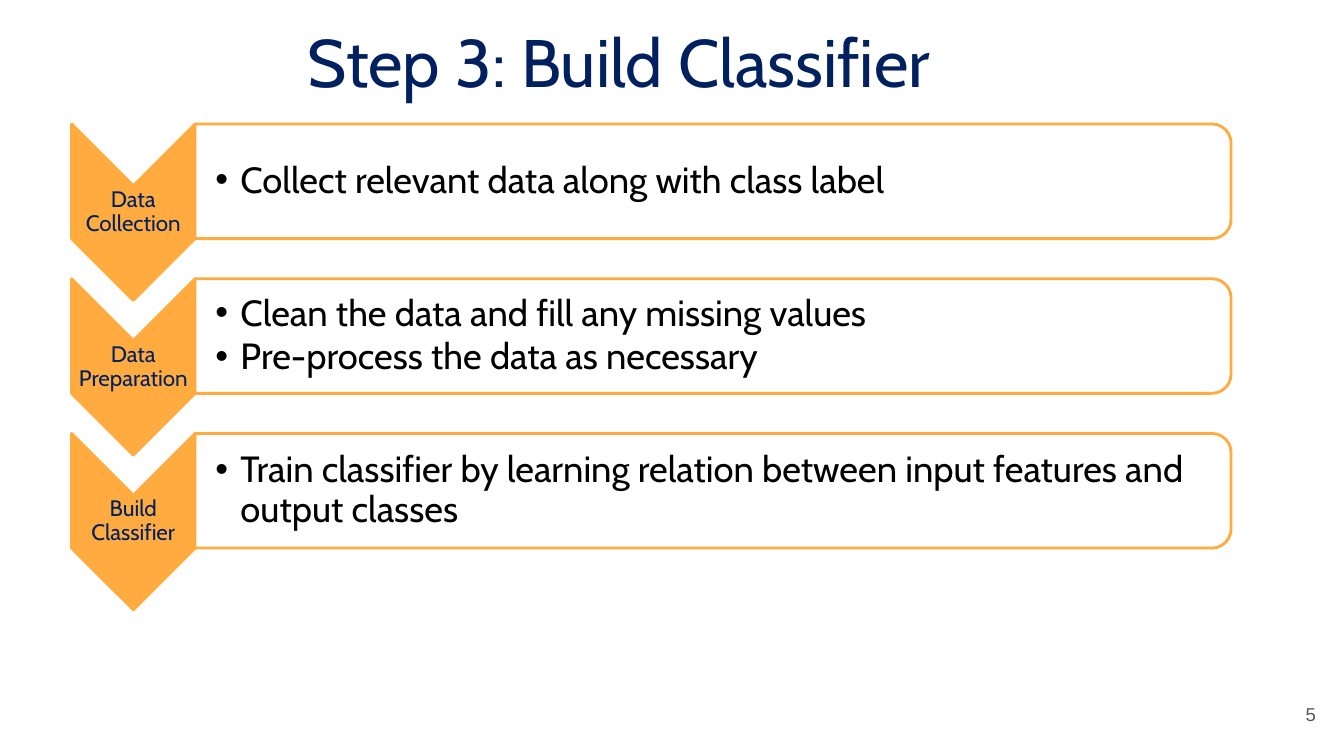
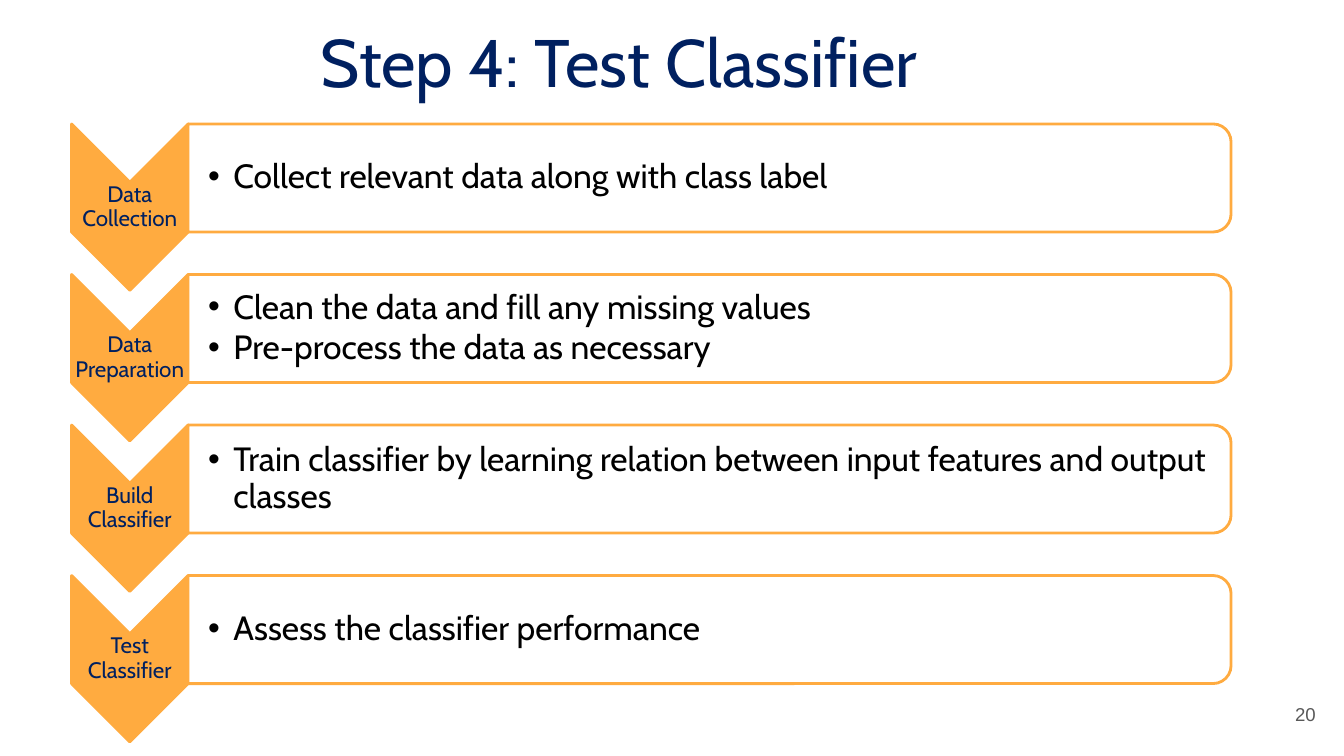
from dataclasses import dataclass

from lxml.etree import SubElement
from pptx import Presentation
from pptx.dml.color import RGBColor as Color
from pptx.enum.shapes import MSO_SHAPE as Preset
from pptx.enum.text import MSO_ANCHOR as Anchor, MSO_AUTO_SIZE as AutoSize, PP_ALIGN as Align
from pptx.oxml.ns import qn
from pptx.util import Pt

EMU_PER_PX = 9144


@dataclass(frozen=True)
class Theme:
    font: str = "Cabin"
    number_font: str = "Arial"
    navy: Color = Color(0x00, 0x20, 0x60)
    orange: Color = Color(0xFF, 0xAB, 0x40)
    white: Color = Color(0xFF, 0xFF, 0xFF)
    black: Color = Color(0x00, 0x00, 0x00)
    gray: Color = Color(0x59, 0x59, 0x59)
    title_size: float = 48
    label_size: float = 16
    number_size: float = 13.3
    outline: float = 2
    panel_opacity: int = 90


THEME = Theme()

STEPS = [
    ("Data Collection", ["Collect relevant data along with class label"]),
    ("Data Preparation", ["Clean the data and fill any missing values",
                          "Pre-process the data as necessary"]),
    ("Build Classifier", ["Train classifier by learning relation between input features and output classes"]),
    ("Test Classifier", ["Assess the classifier performance"]),
]


def px(length):
    return round(length * EMU_PER_PX)


def place(shape, box):
    shape.left, shape.top, shape.width, shape.height = map(px, box)


def prepare_frame(shape, anchor, insets):
    frame = shape.text_frame
    frame.word_wrap = True
    frame.auto_size = AutoSize.NONE
    frame.vertical_anchor = anchor
    frame.margin_left, frame.margin_top, frame.margin_right, frame.margin_bottom = map(px, insets)
    return frame


def style(paragraph, align, size, color, name=THEME.font):
    paragraph.alignment = align
    paragraph.space_before = Pt(0)
    font = paragraph.font
    font.name, font.size, font.bold = name, Pt(size), False
    font.color.rgb = color


def add_bullet(paragraph):
    properties = paragraph._p.get_or_add_pPr()
    properties.set("marL", str(px(25)))
    properties.set("indent", str(px(-25)))
    SubElement(properties, qn("a:buFont"), typeface="Arial")
    SubElement(properties, qn("a:buChar"), char="•")


def add_rotated(slide, preset, box, fill):
    left, top, width, height = box
    center_x, center_y = left + width / 2, top + height / 2
    shape = slide.shapes.add_shape(
        preset, px(center_x - height / 2), px(center_y - width / 2), px(height), px(width))
    shape.rotation = 90
    shape.shadow.inherit = False
    shape.fill.solid()
    shape.fill.fore_color.rgb = fill
    shape.line.color.rgb = THEME.orange
    shape.line.width = Pt(THEME.outline)
    return shape


def add_label(slide, box, text):
    left, top, width, height = box
    add_rotated(slide, Preset.CHEVRON, box, THEME.orange)
    label = slide.shapes.add_textbox(*map(px, (left, top + width / 2, width, height - width)))
    frame = prepare_frame(label, Anchor.MIDDLE, (1, 1, 1, 1))
    paragraph = frame.paragraphs[0]
    paragraph.text = text
    paragraph.line_spacing = 0.9
    style(paragraph, Align.CENTER, THEME.label_size, THEME.navy)


def add_panel(slide, box, body, lines, size):
    left, top, width, height = box
    panel = add_rotated(slide, Preset.ROUND_2_SAME_RECTANGLE, box, THEME.white)
    color = panel.element.spPr.find(qn("a:solidFill"))[0]
    SubElement(color, qn("a:alpha"), val=str(THEME.panel_opacity * 1000))
    slide.shapes.element.append(body.element)
    place(body, (left, top + 5, width - 5, height - 10))
    frame = prepare_frame(body, Anchor.MIDDLE, (20, 2, 2, 2))
    frame.text = "\n".join(lines)
    for paragraph in frame.paragraphs:
        add_bullet(paragraph)
        paragraph.line_spacing = 0.9
        paragraph.space_after = Pt(3)
        style(paragraph, Align.LEFT, size, THEME.black)


def add_process(slide, box, steps, chevron_height, size):
    left, top, width, height = box
    chevron_width = 0.7 * chevron_height
    panel_height = 0.65 * chevron_height
    pitch = (height - chevron_height) / (len(steps) - 1)
    bodies = list(slide.placeholders)[1:]
    for index, ((label, lines), body) in enumerate(zip(steps, bodies)):
        step_top = top + index * pitch
        add_label(slide, (left, step_top, chevron_width, chevron_height), label)
        panel_box = (left + chevron_width, step_top, width - chevron_width, panel_height)
        add_panel(slide, panel_box, body, lines, size)
    for body in bodies[len(steps):]:
        slide.shapes.element.remove(body.element)


def add_title(slide, box, text):
    title = slide.shapes.title
    place(title, box)
    frame = prepare_frame(title, Anchor.TOP, (10, 5, 10, 5))
    frame.text = text
    style(frame.paragraphs[0], Align.CENTER, THEME.title_size, THEME.navy)


def add_number(slide, box, number):
    shape = slide.shapes.add_textbox(*map(px, box))
    frame = prepare_frame(shape, Anchor.MIDDLE, (10, 10, 10, 10))
    frame.text = str(number)
    style(frame.paragraphs[0], Align.RIGHT, THEME.number_size, THEME.gray, THEME.number_font)


def add_step_slide(presentation, title, number, steps, height, chevron_height, size):
    comparison_layout = presentation.slide_layouts[4]
    slide = presentation.slides.add_slide(comparison_layout)
    add_title(slide, (162, 15, 904, 91), title)
    add_process(slide, (71, 123, 1150, height), steps, chevron_height, size)
    add_number(slide, (1235, 680, 80, 57), number)


def main():
    presentation = Presentation()
    presentation.slide_width, presentation.slide_height = px(1333), px(750)
    add_step_slide(presentation, "Step 3: Build Classifier", 5, STEPS[:3],
                   height=482, chevron_height=175, size=26)
    add_step_slide(presentation, "Step 4: Test Classifier", 20, STEPS,
                   height=613, chevron_height=165, size=24)
    presentation.save("out.pptx")


if __name__ == "__main__":
    main()
